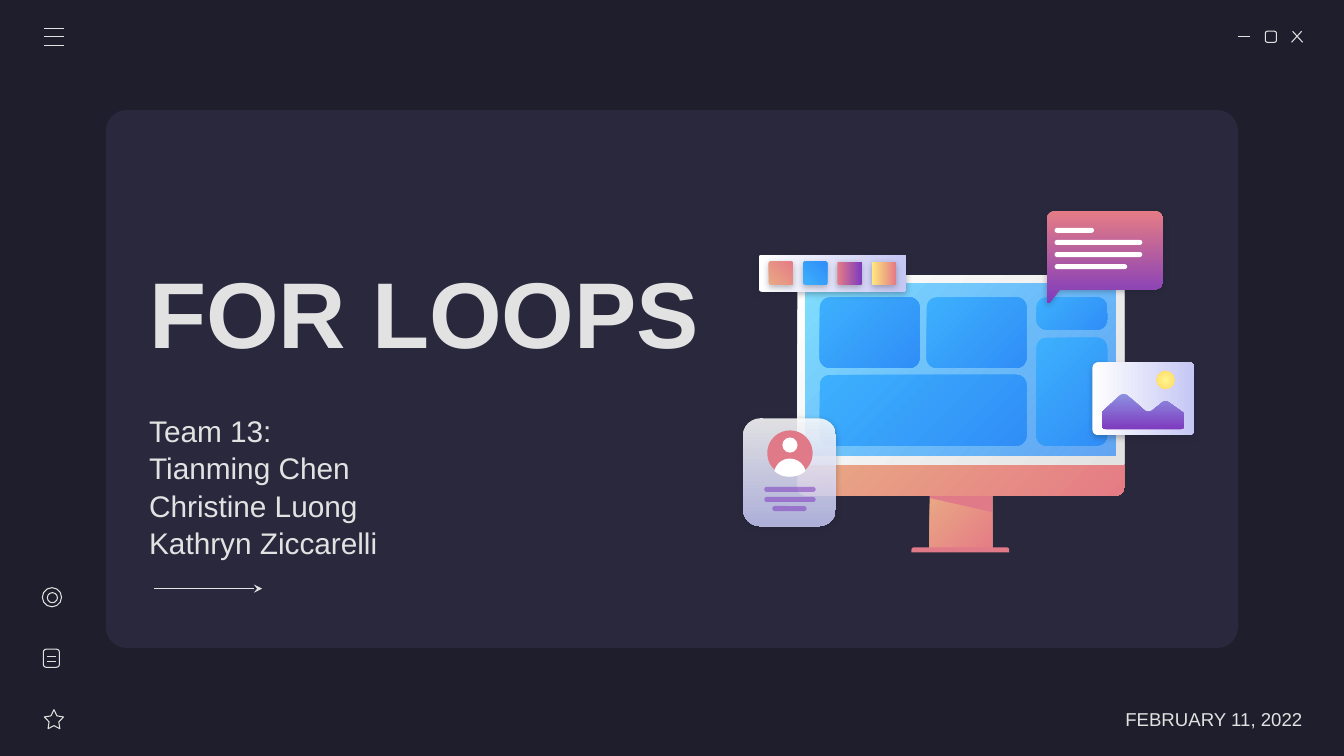
from dataclasses import dataclass

from lxml import etree
from pptx import Presentation
from pptx.dml.color import RGBColor
from pptx.enum.shapes import MSO_CONNECTOR, MSO_SHAPE as Shape
from pptx.enum.text import MSO_ANCHOR, MSO_AUTO_SIZE, PP_ALIGN as Align
from pptx.oxml.ns import qn
from pptx.util import Inches, Pt


@dataclass(frozen=True)
class Theme:
    font: str = "Arial"
    title: float = 66.7
    subtitle: float = 21.3
    date: float = 13.3
    line: float = 0.75
    background: str = "1E1E2C"
    card: str = "29283D"
    ink: str = "E2E2E2"
    white: str = "FFFFFF"
    rose: str = "E07A88"
    purple: str = "7E3BBE"
    peach: tuple = ("E9A984", "E57C85")
    blue: tuple = ("3DB0FD", "308EF7")
    sky: tuple = ("80DFFF", "318FFA")
    sunset: tuple = ("E57C85", "7E3BBE")
    lemon: tuple = ("FFEA7D", "E57C85")
    lilac: tuple = ("FFFFFF", "C5C7F4")
    bezel: tuple = ("FFFFFF", "E2E2E2")
    hills: tuple = ("8D90E1", "7E3BBE")
    sun: tuple = ("FFF68E", "FFD966")


class SlideBuilder:
    """Draws styled elements on the current slide."""

    def __init__(self, slide, theme):
        self.slide, self.theme = slide, theme
        self.shapes = slide.shapes
        slide.background.fill.solid()
        slide.background.fill.fore_color.rgb = RGBColor.from_string(theme.background)

    def paint(self, shape, fill, angle=45, alphas=(100, 100), shadow=False):
        shape.shadow.inherit = False
        if fill is None:
            shape.fill.background()
            self.stroke(shape)
            return shape
        shape.line.fill.background()
        shape.fill.solid()
        solid = shape.element.spPr.find(qn("a:solidFill"))
        if isinstance(fill, str):
            shape.fill.fore_color.rgb = RGBColor.from_string(fill)
            self.fade(solid[0], alphas[0])
        else:
            solid.getparent().replace(solid, self.gradient(fill, angle, alphas))
        if shadow:
            effects = shape.element.spPr.find(qn("a:effectLst"))
            outer = etree.SubElement(effects, qn("a:outerShdw"), blurRad=str(Pt(4.5)),
                                     dist=str(Pt(1.5)), dir="5400000", algn="bl", rotWithShape="0")
            color = etree.SubElement(outer, qn("a:srgbClr"), val=self.theme.background)
            self.fade(color, 30)
        return shape

    def gradient(self, colors, angle, alphas):
        gradient = etree.Element(qn("a:gradFill"), rotWithShape="1")
        stops = etree.SubElement(gradient, qn("a:gsLst"))
        for position, color, alpha in zip(("0", "100000"), colors, alphas):
            stop = etree.SubElement(stops, qn("a:gs"), pos=position)
            self.fade(etree.SubElement(stop, qn("a:srgbClr"), val=color), alpha)
        if angle is None:
            radial = etree.SubElement(gradient, qn("a:path"), path="circle")
            etree.SubElement(radial, qn("a:fillToRect"), dict.fromkeys("ltrb", "50000"))
        else:
            etree.SubElement(gradient, qn("a:lin"), ang=str(angle * 60000), scaled="0")
        return gradient

    def fade(self, color, alpha):
        if alpha < 100:
            etree.SubElement(color, qn("a:alpha"), val=str(alpha * 1000))

    def stroke(self, shape):
        shape.line.color.rgb = RGBColor.from_string(self.theme.ink)
        shape.line.width = Pt(self.theme.line)

    def shape(self, kind, place, fill=None, adjust=(), rotation=0, **style):
        shape = self.shapes.add_shape(kind, *map(Inches, place))
        for index, value in enumerate(adjust):
            shape.adjustments[index] = value
        shape.rotation = rotation
        return self.paint(shape, fill, **style)

    def rounded(self, place, fill=None, radius=0.02, **style):
        ratio = min(radius / min(place[2:]), 0.5)
        return self.shape(Shape.ROUNDED_RECTANGLE, place, fill, (ratio,), **style)

    def outline(self, steps, fill, **style):
        points = []
        for step in steps:
            if len(step) == 2:
                points.append(step)
                continue
            curve = (points[-1], step[:2], step[2:4], step[4:])
            for t in (n / 8 for n in range(1, 9)):
                weights = ((1 - t) ** 3, 3 * t * (1 - t) ** 2, 3 * t * t * (1 - t), t ** 3)
                points.append(tuple(sum(w * p[axis] for w, p in zip(weights, curve))
                                    for axis in (0, 1)))
        start, *rest = [tuple(map(Inches, point)) for point in points]
        builder = self.shapes.build_freeform(*start)
        builder.add_line_segments(rest, close=True)
        return self.paint(builder.convert_to_shape(), fill, **style)

    def line(self, start, end, arrow=False):
        line = self.shapes.add_connector(MSO_CONNECTOR.STRAIGHT, *map(Inches, start + end))
        self.stroke(line)
        if arrow:
            outline = line.element.spPr.find(qn("a:ln"))
            etree.SubElement(outline, qn("a:tailEnd"), type="stealth")
        etree.SubElement(line.element.spPr, qn("a:effectLst"))

    def title(self, place, text):
        title = self.shapes.title
        self.shapes.element.append(title.element)
        self.set_text(title, place, [text], self.theme.title, bold=True)

    def text(self, place, lines, size, **style):
        self.set_text(self.shapes.add_textbox(0, 0, 0, 0), place, lines, size, **style)

    def set_text(self, box, place, lines, size, bold=False, align=Align.LEFT, right=0.13, spacing=1.0):
        box.left, box.top, box.width, box.height = map(Inches, place)
        frame = box.text_frame
        frame.word_wrap, frame.auto_size = True, MSO_AUTO_SIZE.NONE
        frame.vertical_anchor = MSO_ANCHOR.MIDDLE
        frame.margin_left = frame.margin_top = frame.margin_bottom = Inches(0.13)
        frame.margin_right = Inches(right)
        frame.text = "\n".join(lines)
        for para in frame.paragraphs:
            para.alignment, para.line_spacing = align, spacing
            para.font.name, para.font.size, para.font.bold = self.theme.font, Pt(size), bold
            para.font.color.rgb = RGBColor.from_string(self.theme.ink)


def draw_window(page):
    page.rounded((1.05, 1.09, 11.23, 5.34), page.theme.card, 0.21)
    page.line((12.28, 0.36), (12.4, 0.36))
    page.rounded((12.55, 0.31, 0.11, 0.11))
    page.line((12.82, 0.31), (12.92, 0.42))
    page.line((12.91, 0.31), (12.81, 0.42))
    for y in (0.28, 0.36, 0.45):
        page.line((0.44, y), (0.63, y))
    page.shape(Shape.OVAL, (0.42, 5.83, 0.19, 0.19))
    page.shape(Shape.OVAL, (0.47, 5.88, 0.1, 0.1))
    page.rounded((0.43, 6.44, 0.16, 0.18), radius=0.03)
    for y in (6.51, 6.56):
        page.line((0.47, y), (0.56, y))
    page.shape(Shape.STAR_5_POINT, (0.44, 7.04, 0.19, 0.19), adjust=(0.254,))


def draw_monitor(page):
    theme = page.theme
    page.shape(Shape.RECTANGLE, (9.22, 4.89, 0.62, 0.58), theme.peach)
    page.shape(Shape.ROUND_2_SAME_RECTANGLE, (9.04, 5.43, 0.97, 0.05), theme.rose, (0.5, 0))
    page.outline([(9.22, 4.9), (9.22, 4.94), (9.84, 5.08), (9.84, 4.9)], theme.rose)
    page.shape(Shape.ROUND_2_SAME_RECTANGLE, (7.91, 4.6, 3.24, 0.32), theme.peach, (0, 0.27))
    page.shape(Shape.ROUND_2_SAME_RECTANGLE, (7.91, 2.73, 3.24, 1.88), theme.bezel, (0.05, 0))
    page.shape(Shape.RECTANGLE, (7.99, 2.81, 3.07, 1.71), theme.sky, alphas=(100, 72))
    for tile in ((8.13, 2.95, 0.99, 0.7), (8.13, 3.72, 2.05, 0.7), (9.19, 2.95, 0.99, 0.7),
                 (10.28, 2.95, 0.7, 0.32), (10.28, 3.35, 0.7, 1.07)):
        page.rounded(tile, theme.blue, 0.1)


def draw_bubble(page):
    page.outline([(10.47, 2.09), (10.42, 2.09, 10.38, 2.13, 10.38, 2.18), (10.38, 2.99),
                  (10.38, 3, 10.39, 3.01, 10.4, 3.01), (10.41, 3), (10.51, 2.87), (11.45, 2.87),
                  (11.5, 2.87, 11.54, 2.83, 11.54, 2.78), (11.54, 2.18),
                  (11.54, 2.13, 11.5, 2.09, 11.45, 2.09)],
                 page.theme.sunset, angle=90, shadow=True)
    for row, width in enumerate((0.39, 0.87, 0.87, 0.72)):
        page.rounded((10.46, 2.26 + 0.12 * row, width, 0.05), page.theme.white, 0.03)


def draw_profile(page):
    theme = page.theme
    page.rounded((7.37, 4.15, 0.92, 1.07), theme.lilac, 0.17, angle=90, alphas=(86, 86), shadow=True)
    page.shape(Shape.OVAL, (7.61, 4.27, 0.45, 0.45), theme.rose)
    page.shape(Shape.OVAL, (7.76, 4.34, 0.15, 0.15), theme.white)
    page.outline([(7.83, 4.55), (7.76, 4.55, 7.7, 4.6, 7.68, 4.67), (7.72, 4.71, 7.77, 4.73, 7.83, 4.73),
                  (7.89, 4.73, 7.95, 4.71, 7.99, 4.67), (7.97, 4.6, 7.91, 4.55, 7.83, 4.55)], theme.white)
    for x, y, width in ((7.58, 4.83, 0.51), (7.58, 4.93, 0.51), (7.66, 5.02, 0.34)):
        page.rounded((x, y, width, 0.05), theme.purple, 0.03, alphas=(54, 54))


def draw_photo(page):
    theme = page.theme
    page.rounded((10.98, 3.45, 0.72, 1.01), theme.lilac, 0.05, rotation=270, angle=90, shadow=True)
    page.outline([(11.14, 3.91), (11.13, 3.91, 11.12, 3.91, 11.11, 3.92), (10.94, 4.08),
                  (10.93, 4.09, 10.93, 4.1, 10.93, 4.11), (10.93, 4.22),
                  (10.93, 4.24, 10.95, 4.26, 10.98, 4.26), (11.7, 4.26),
                  (11.72, 4.26, 11.75, 4.24, 11.75, 4.22), (11.75, 4.12),
                  (11.75, 4.11, 11.74, 4.1, 11.73, 4.09), (11.59, 3.99),
                  (11.57, 3.98, 11.55, 3.98, 11.53, 3.99), (11.42, 4.08),
                  (11.4, 4.09, 11.37, 4.09, 11.35, 4.07), (11.18, 3.92),
                  (11.17, 3.91, 11.16, 3.91, 11.14, 3.91)], theme.hills, angle=90)
    page.shape(Shape.OVAL, (11.47, 3.68, 0.18, 0.18), theme.sun, angle=None)


def draw_palette(page):
    theme = page.theme
    page.rounded((8.07, 1.98, 0.37, 1.46), theme.lilac, 0.03, rotation=270, angle=90, shadow=True)
    swatches = ((theme.peach, 45), (theme.blue, 45), (theme.sunset, 90), (theme.lemon, 90))
    for column, (colors, angle) in enumerate(swatches):
        page.rounded((7.63 + 0.34 * column, 2.59, 0.23, 0.24), colors, rotation=270,
                     angle=angle, shadow=True)


def main():
    deck = Presentation()
    deck.slide_width, deck.slide_height = Inches(13.33), Inches(7.5)
    theme = Theme()
    page = SlideBuilder(deck.slides.add_slide(deck.slide_layouts[5]), theme)
    draw_window(page)
    page.text((1.35, 4.51, 4.33, 0.62),
              ["Team 13:", "Tianming Chen", "Christine Luong", "Kathryn Ziccarelli"],
              theme.subtitle, spacing=1.05)
    page.title((1.35, 1.92, 5.96, 2.34), "FOR LOOPS")
    for draw in (draw_monitor, draw_bubble, draw_profile, draw_photo, draw_palette):
        draw(page)
    page.line((1.53, 5.84), (2.6, 5.84), arrow=True)
    page.text((10.46, 6.93, 2.46, 0.41), ["FEBRUARY 11, 2022"], theme.date, align=Align.RIGHT, right=0)
    deck.save("out.pptx")


if __name__ == "__main__":
    main()
